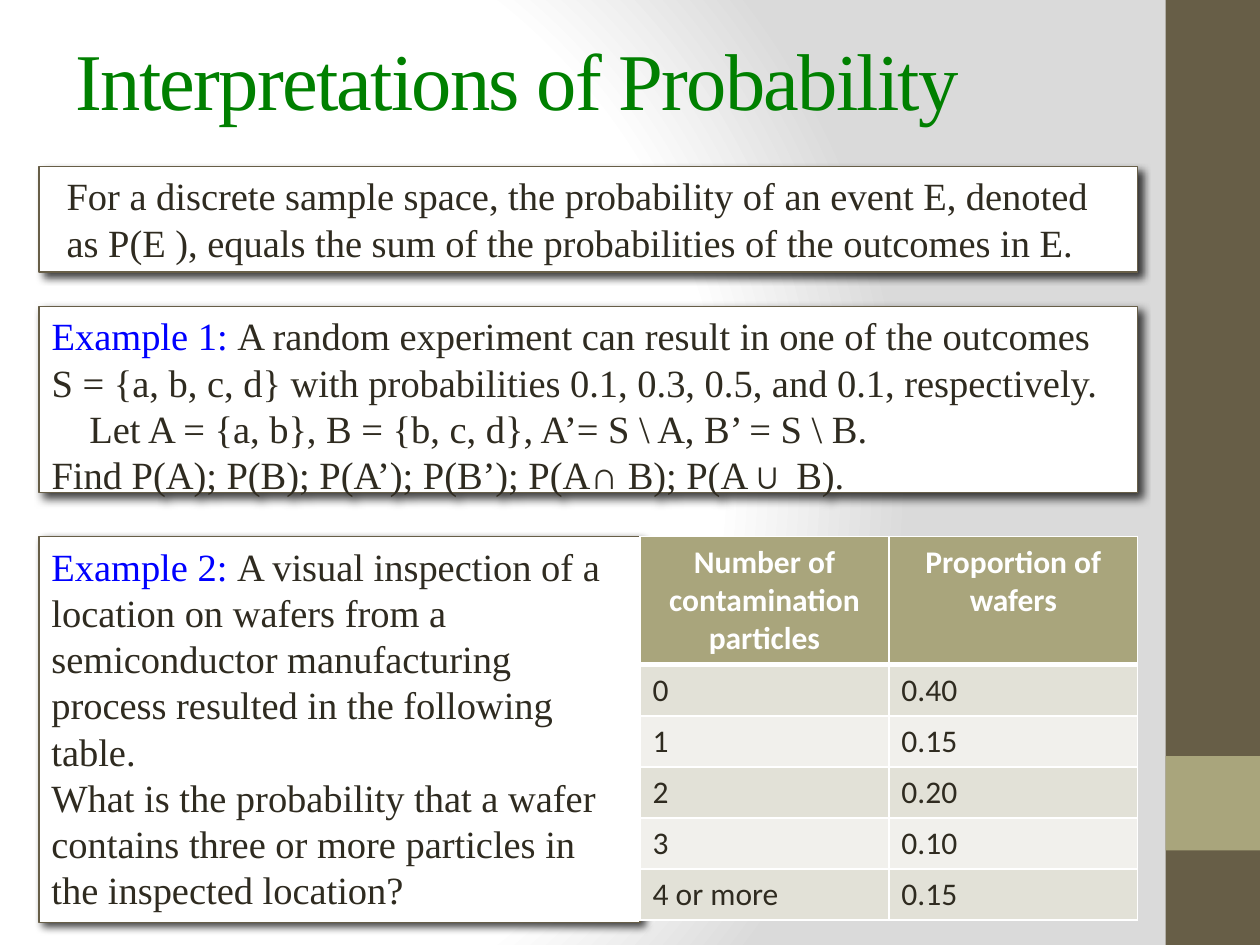
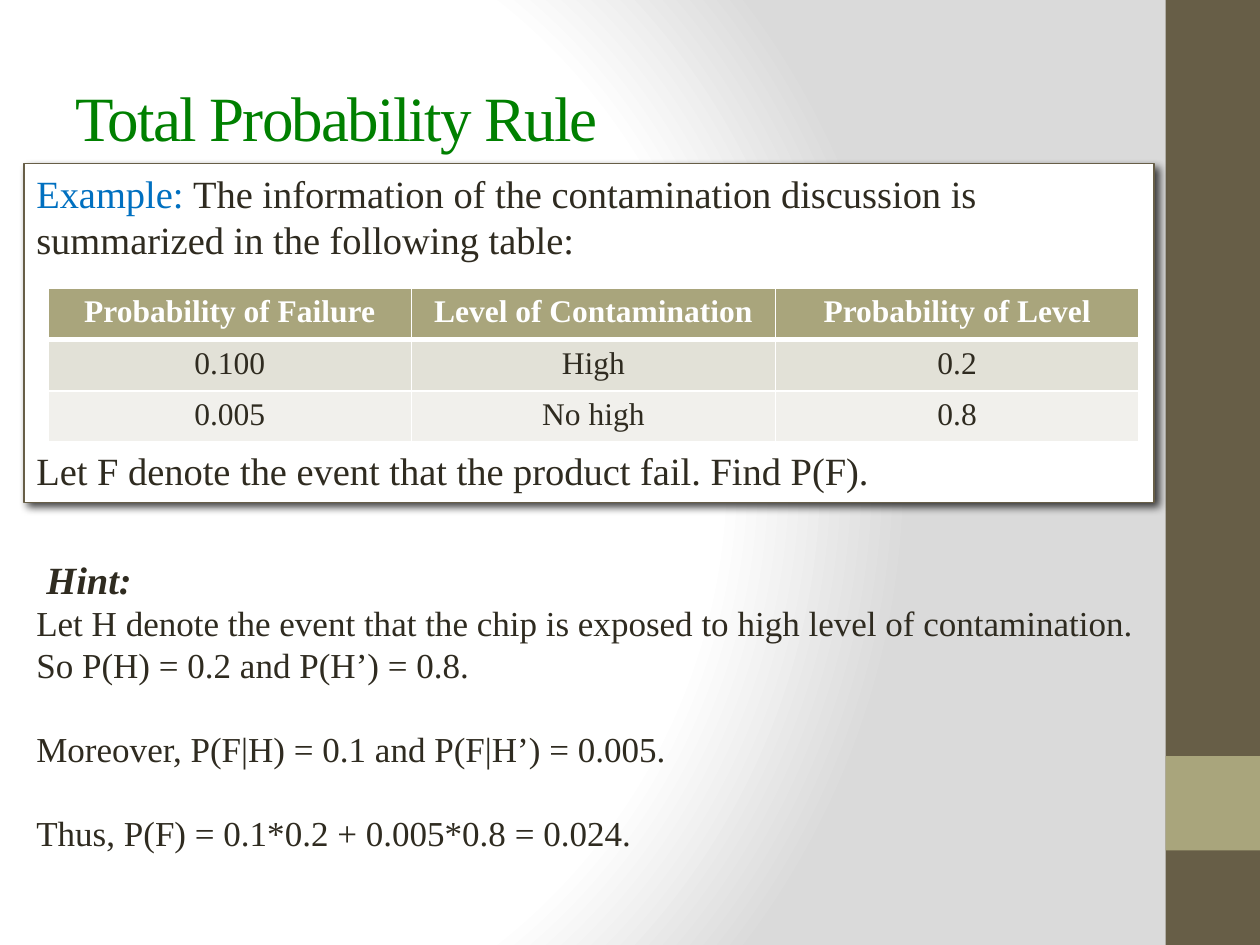
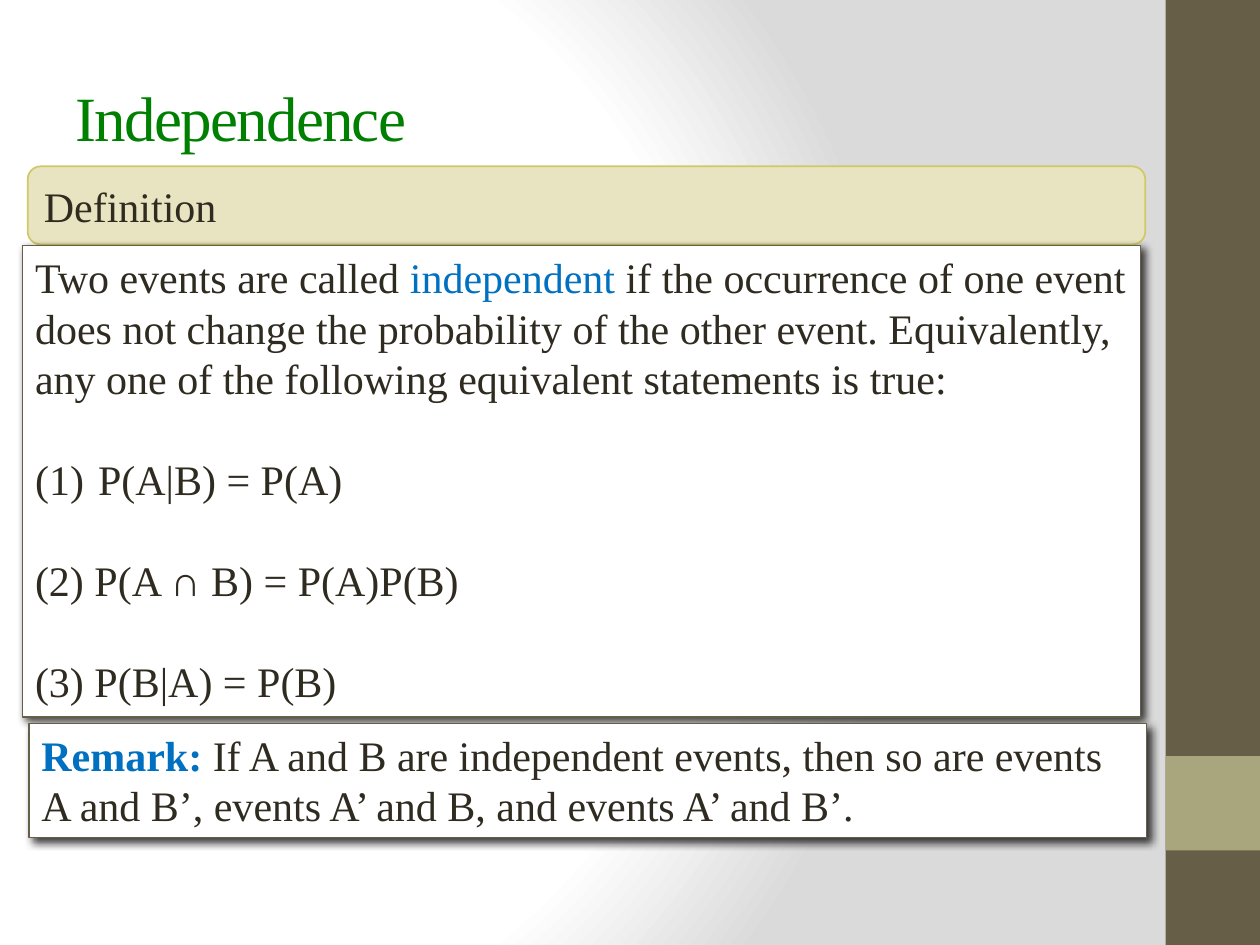
import dataclasses

import pptx
import pptx.dml.color
import pptx.enum.shapes
import pptx.enum.text
import pptx.oxml
import pptx.oxml.ns
import pptx.util

COLORS = {
    "white": "FFFFFF", "gray": "DADADA", "ink": "2F2B20", "brown": "675E47",
    "olive": "A9A57C", "odd": "E2E1D7", "even": "F1F0EC", "green": "008000",
    "blue": "0000FF", "azure": "0070C0", "sand": "E8E4C1", "gold": "D0C967",
    "black": "000000",
}
SERIF, SANS = "Times New Roman", "Calibri"
COLUMNS, ROWS = 100, 75
LINE_HEIGHT = 1.2
NAMESPACE = pptx.oxml.ns.nsdecls("a")
SHAPES = pptx.enum.shapes.MSO_SHAPE
ANCHOR = pptx.enum.text.MSO_ANCHOR
ALIGN = pptx.enum.text.PP_ALIGN


@dataclasses.dataclass
class Line:
    """A paragraph: runs are strings or (text, style) pairs."""
    runs: list
    size: float = 0
    margin: float = 0
    indent: float = 0
    lines_before: int = 0
    numbered: bool = False


def color(name):
    return pptx.dml.color.RGBColor.from_string(COLORS[name])


def xml(text):
    return pptx.oxml.parse_xml(text)


class Deck:
    def __init__(self):
        self.presentation = pptx.Presentation()
        self.presentation.slide_width = pptx.util.Inches(10)
        self.presentation.slide_height = pptx.util.Inches(7.5)
        self.slide = None
        self.paint_background()

    def box(self, left, top, width, height):
        column = self.presentation.slide_width / COLUMNS
        row = self.presentation.slide_height / ROWS
        return [round(value) for value in
                (left * column, top * row, width * column, height * row)]

    def place(self, shape, area):
        shape.left, shape.top, shape.width, shape.height = self.box(*area)

    # Shared look on the master
    def paint_background(self):
        master = self.presentation.slide_master
        master.background.fill.solid()
        properties = master.element.xpath("p:cSld/p:bg/p:bgPr")[0]
        stops = "".join(
            f'<a:gs pos="{position}000"><a:srgbClr val="{COLORS[name]}"/></a:gs>'
            for position, name in ((0, "white"), (75, "white"), (100, "gray")))
        properties.replace(properties[0], xml(
            f'<a:gradFill {NAMESPACE} rotWithShape="1"><a:gsLst>{stops}</a:gsLst>'
            '<a:path path="circle"><a:fillToRect l="20000" t="50000" '
            'r="100000" b="50000"/></a:path></a:gradFill>'))

    def add_bands(self):
        tree = self.presentation.slide_master.shapes._spTree
        bands = (((92.5, 0, 7.5, 75), "brown"), ((92.5, 60, 7.5, 7.5), "olive"))
        for number, (area, fill) in enumerate(bands):
            element = self.shape(area, fill)._element
            element.xpath(".//p:cNvPr")[0].set("id", str(100 + number))
            tree.insert(2 + number, element)

    # Slides and titles
    def new_slide(self, title, top, size, has_body=False):
        layout = self.presentation.slide_layouts[1 if has_body else 5]
        self.slide = self.presentation.slides.add_slide(layout)
        shape = self.slide.shapes.title
        self.place(shape, (5, top, 83.3, 12.5))
        shape.text_frame.vertical_anchor = ANCHOR.MIDDLE
        shape.text_frame.auto_size = pptx.enum.text.MSO_AUTO_SIZE.NONE
        paragraph = shape.text_frame.paragraphs[0]
        paragraph.alignment = ALIGN.LEFT
        run = self.run(paragraph, title, size, "green")
        run._r.get_or_add_rPr().set("spc", "-100")

    # Text
    def run(self, paragraph, text, size, ink="ink", font=SERIF,
            bold=False, italic=False):
        run = paragraph.add_run()
        run.text = text
        run.font.size = pptx.util.Pt(size)
        run.font.name = font
        run.font.bold, run.font.italic = bold, italic
        run.font.color.rgb = color(ink)
        return run

    def add_lines(self, shape, lines, size, anchor=ANCHOR.TOP):
        frame = shape.text_frame
        frame.word_wrap = True
        frame.auto_size = pptx.enum.text.MSO_AUTO_SIZE.NONE
        frame.vertical_anchor = anchor
        for index, line in enumerate(lines):
            paragraph = frame.add_paragraph() if index else frame.paragraphs[0]
            line_size = line.size or size
            height = line_size * LINE_HEIGHT
            paragraph.alignment = ALIGN.LEFT
            paragraph.line_spacing = pptx.util.Pt(height)
            paragraph.space_before = pptx.util.Pt(height * line.lines_before)
            properties = paragraph._p.get_or_add_pPr()
            properties.set("marL", str(pptx.util.Inches(line.margin)))
            properties.set("indent", str(pptx.util.Inches(line.indent)))
            properties.append(xml(
                f'<a:buAutoNum {NAMESPACE} type="arabicParenBoth"/>'
                if line.numbered else f"<a:buNone {NAMESPACE}/>"))
            for item in line.runs:
                text, style = (item, {}) if isinstance(item, str) else item
                self.run(paragraph, text, line_size, **style)

    def text(self, area, lines, size):
        self.add_lines(self.slide.shapes.add_textbox(*self.box(*area)), lines, size)

    # Shapes
    def style(self, shape, fill, line=None, width=0.75):
        shape.shadow.inherit = False
        shape.fill.solid()
        shape.fill.fore_color.rgb = color(fill)
        if line:
            shape.line.color.rgb = color(line)
            shape.line.width = pptx.util.Pt(width)
        else:
            shape.line.fill.background()

    def shape(self, area, fill, line=None, width=0.75, kind=SHAPES.RECTANGLE):
        shape = self.slide.shapes.add_shape(kind, *self.box(*area))
        self.style(shape, fill, line, width)
        return shape

    def panel(self, area, lines, size, placeholder=None):
        """A white box with a soft shadow."""
        shape = placeholder or self.shape(area, "white")
        self.place(shape, area)
        self.style(shape, "white", "brown")
        shape._element.spPr.find(pptx.oxml.ns.qn("a:effectLst")).append(xml(
            f'<a:outerShdw {NAMESPACE} blurRad="{pptx.util.Pt(5)}" '
            f'dist="{pptx.util.Pt(3)}" dir="2700000" algn="tl" rotWithShape="0">'
            f'<a:srgbClr val="{COLORS["black"]}"><a:alpha val="75000"/></a:srgbClr>'
            '</a:outerShdw>'))
        self.add_lines(shape, lines, size)

    def banner(self, area, text, size):
        shape = self.shape(area, "sand", "gold", 1, SHAPES.ROUNDED_RECTANGLE)
        self.add_lines(shape, [Line([text])], size, ANCHOR.MIDDLE)

    # Tables
    def table(self, area, records, heights, font, body_align):
        frame = self.slide.shapes.add_table(
            len(records), len(records[0]), *self.box(*area))
        table = frame.table
        for row, height in zip(table.rows, heights):
            row.height = self.box(0, 0, 0, height)[3]
        for row_index, record in enumerate(records):
            header = row_index == 0
            fill = "olive" if header else "odd" if row_index % 2 else "even"
            for column_index, text in enumerate(record):
                cell = table.cell(row_index, column_index)
                self.borders(cell, top=3 if row_index == 1 else 1,
                             bottom=3 if header else 1)
                cell.fill.solid()
                cell.fill.fore_color.rgb = color(fill)
                paragraph = cell.text_frame.paragraphs[0]
                paragraph.alignment = ALIGN.CENTER if header else body_align
                self.run(paragraph, text, 18, "white" if header else "ink",
                         font, bold=header)

    def borders(self, cell, top, bottom):
        properties = cell._tc.get_or_add_tcPr()
        for side, width in (("L", 1), ("R", 1), ("T", top), ("B", bottom)):
            properties.append(xml(
                f'<a:ln{side} {NAMESPACE} w="{pptx.util.Pt(width)}"><a:solidFill>'
                f'<a:srgbClr val="{COLORS["white"]}"/></a:solidFill></a:ln{side}>'))


def interpretations(deck):
    deck.new_slide("Interpretations of Probability", 0, 46, has_body=True)
    deck.add_bands()
    left, width, lead = 3.1, 87.2, {"ink": "blue"}
    deck.panel((left, 24.3, width, 14.8), [
        Line([("Example 1: ", lead),
              "A random experiment can result in one of the outcomes"]),
        Line(["S = {a, b, c, d} with probabilities 0.1, 0.3, 0.5, and 0.1, respectively."]),
        Line(["Let A = {a, b}, B = {b, c, d}, A’= S \\ A, B’ = S \\ B."], margin=0.3),
        Line(["Find P(A); P(B); P(A’); P(B’); P(A∩ B); P(A∪ B)."]),
    ], 22, deck.slide.placeholders[1])
    deck.panel((left, 42.6, 47.7, 30.6), [
        Line([("Example 2: ", lead),
              "A visual inspection of a location on wafers from a semiconductor "
              "manufacturing process resulted in the following table."]),
        Line(["What is the probability that a wafer contains three or more "
              "particles in the inspected location?"]),
    ], 22)
    deck.table((50.8, 42.6, 39.5, 30), [
        ("Number of contamination particles", "Proportion of wafers"),
        ("0", "0.40"), ("1", "0.15"), ("2", "0.20"), ("3", "0.10"),
        ("4 or more", "0.15"),
    ], [9.8] + [4.04] * 5, SANS, ALIGN.LEFT)
    deck.panel((left, 13.2, width, 8.4), [
        Line(["For a discrete sample space, the probability of an event E, denoted "
              "as P(E ), equals the sum of the probabilities of the outcomes in E."],
             margin=0.12),
    ], 22)


def total_probability(deck):
    deck.new_slide("Total Probability Rule", 3, 36)
    left, width = 1.9, 89.7
    deck.panel((left, 13, width, 26.9), [
        Line([("Example: ", {"ink": "azure"}),
              "The information of the contamination discussion is summarized "
              "in the following table:"]),
        Line(["Let F denote the event that the product fail. Find P(F)."],
             lines_before=4),
    ], 22)
    deck.table((3.8, 22.9, 86.6, 12.2), [
        ("Probability of Failure", "Level of Contamination", "Probability of Level"),
        ("0.100", "High", "0.2"), ("0.005", "No high", "0.8"),
    ], [4.06] * 3, SERIF, ALIGN.CENTER)
    deck.text((left, 43.6, width, 24.9), [
        Line([("Hint:", {"bold": True, "italic": True})], size=22, margin=0.08),
        Line(["Let H denote the event that the chip is exposed to high level "
              "of contamination."]),
        Line(["So P(H) = 0.2 and P(H’) = 0.8."]),
        Line(["Moreover, P(F|H) = 0.1 and P(F|H’) = 0.005."], lines_before=1),
        Line(["Thus, P(F) = 0.1*0.2 + 0.005*0.8 = 0.024."], lines_before=1),
    ], 20)


def independence(deck):
    deck.new_slide("Independence", 3, 36)
    width = 88.7
    deck.banner((2.2, 13.2, width, 6.2), "Definition", 24)
    deck.panel((1.8, 19.5, width, 37.4), [
        Line(["Two events are called ", ("independent ", {"ink": "azure"}),
              "if the occurrence of one event"]),
        Line(["does not change the probability of the other event. Equivalently,"]),
        Line(["any one of the following equivalent statements is true:"]),
        Line(["P(A|B) = P(A)"], margin=0.5, indent=-0.5, lines_before=1, numbered=True),
        Line(["(2) P(A ", ("∩", {"italic": True}), " B) = P(A)P(B)"], lines_before=1),
        Line(["(3) P(B|A) = P(B)"], lines_before=1),
    ], 24)
    deck.panel((2.3, 57.4, width, 9.1), [
        Line([("Remark: ", {"ink": "azure", "bold": True}),
              "If A and B are independent events, then so are events A and B’, "
              "events A’ and B, and events A’ and B’."]),
    ], 24)


def main():
    deck = Deck()
    for build in (interpretations, total_probability, independence):
        build(deck)
    deck.presentation.save("out.pptx")


if __name__ == "__main__":
    main()
